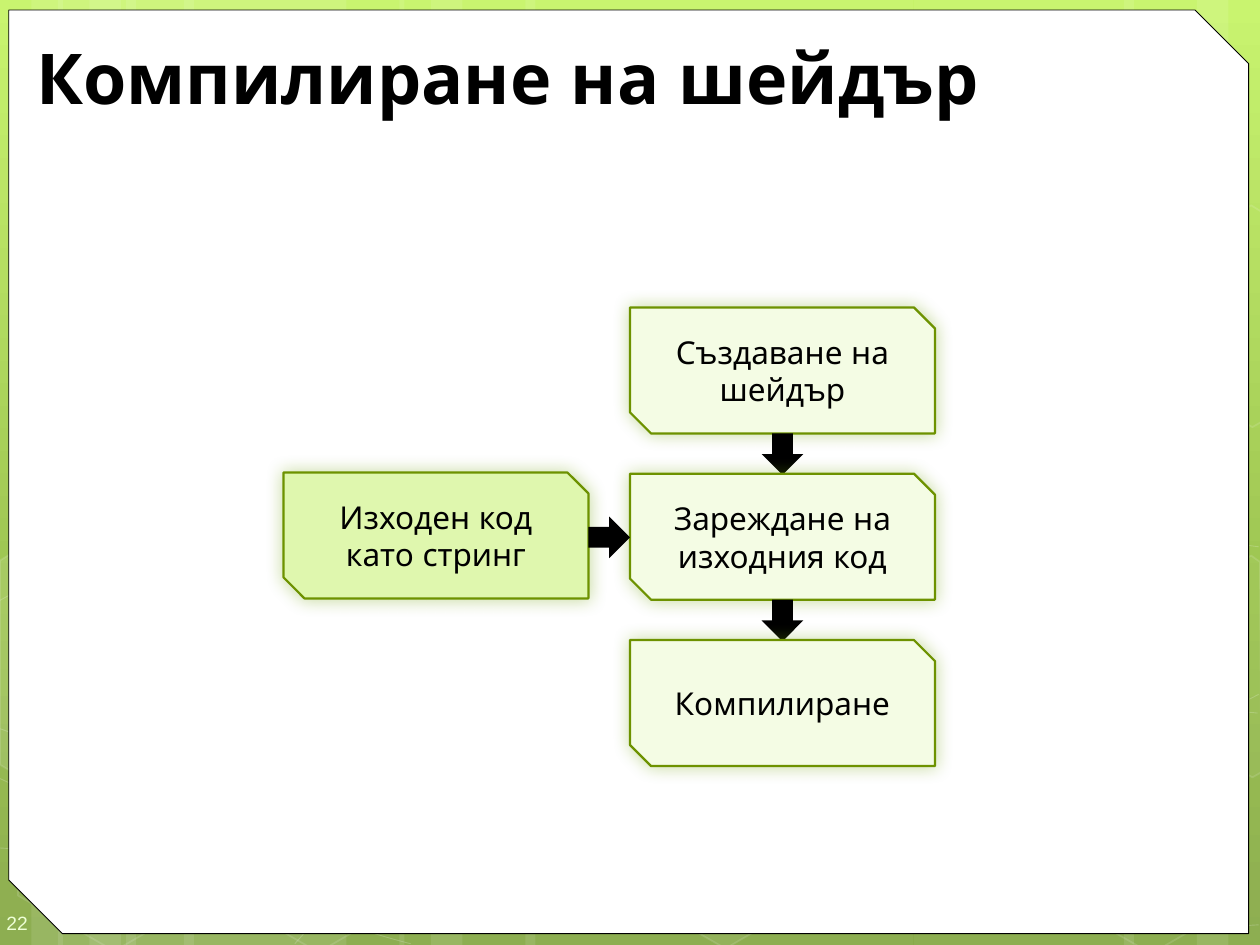
from copy import deepcopy
from dataclasses import dataclass

from lxml.etree import SubElement
from pptx import Presentation
from pptx.dml.color import RGBColor
from pptx.enum.shapes import MSO_SHAPE
from pptx.enum.text import MSO_ANCHOR, PP_ALIGN
from pptx.oxml.ns import qn
from pptx.util import Inches, Pt

HEX = {
    "top": "C3F35F", "mid": "93BF3F", "low": "81A53E",
    "white": "FFFFFF", "black": "000000", "edge": "6D9200",
    "step": "F4FCE4", "source": "DFF7AE", "glow": "74A510", "page": "EEFFD6",
}
STEP_X, STEP_Y, PITCH = 5, 2.44, 1.32
BOX_W, BOX_H, ARROW = 2.42, 1, 0.33
BANDS = [(1, 1.75), (0, 0.5), (0.25, 0.83), (1.46, 1.75), (0.46, 0.5), (0.71, 0.83),
         (7.25, 1.75), (9.5, 0.5), (8.92, 0.83), (4.17, 3.08), (3.17, 0.5), (3.42, 0.83)]
CURVES = [
    [(-0.01, 6.73), (0.53, 6.76), (1.07, 6.79), (1.82, 6.78), (2.57, 6.77), (3.49, 6.75),
     (4.5, 6.65), (5.5, 6.55), (6.92, 6.36), (7.83, 6.17), (8.75, 5.98), (9.69, 5.68), (9.99, 5.51)],
    [(-0.01, 4.77), (0.28, 4.61), (0.56, 4.46), (1.13, 4.31), (1.7, 4.16), (2.5, 3.94),
     (3.39, 3.87), (4.28, 3.8), (5.36, 3.79), (6.46, 3.87), (7.56, 3.95), (9.39, 4.26), (9.99, 4.34)],
    [(-0.02, 6.17), (1.18, 6.72), (2.39, 7.27), (3.26, 7.49)],
    [(-0.01, 5.78), (0.3, 5.89), (0.61, 6), (1.2, 6.16), (1.78, 6.31), (2.65, 6.56),
     (3.48, 6.73), (4.32, 6.9), (5.37, 7.08), (6.2, 7.18), (7.02, 7.29), (7.91, 7.33),
     (8.44, 7.36), (8.97, 7.4), (9.11, 7.38), (9.37, 7.38), (9.62, 7.37), (9.81, 7.35), (9.99, 7.34)],
    [(2.34, 7.49), (2.52, 7.29), (2.69, 7.09), (2.94, 6.91), (3.18, 6.73), (3.51, 6.53),
     (3.79, 6.39), (4.07, 6.25), (4.24, 6.19), (4.61, 6.09), (4.98, 5.99), (5.65, 5.85),
     (6, 5.78), (6.35, 5.71), (6.41, 5.71), (6.72, 5.69), (7.03, 5.66), (7.51, 5.63),
     (7.86, 5.62), (8.2, 5.61), (8.78, 5.62), (8.78, 5.62), (9, 5.62), (9.22, 5.62),
     (9.44, 5.62), (9.63, 5.63), (9.8, 5.64), (9.98, 5.66)],
]
HEXAGONS = [(4.88, 5.89, 6), (0.03, 5.91, 0), (1.65, 5.92, 0), (8.26, 5.93, 0)]
PARTS = [
    ([(0, 4.45), (0.11, 4.38), (0.87, 4.82), (0.87, 5.7), (0.12, 6.14), (0, 6.07)], 10),
    ([(9.18, 4.85), (9.93, 4.41), (10, 4.46), (10.01, 6.13), (9.94, 6.17), (9.17, 5.73)], 4),
    ([(9.18, 2.07), (9.93, 1.63), (10.01, 1.68), (10.01, 3.35), (9.94, 3.39), (9.17, 2.95)], 0),
]


@dataclass
class Box:
    x: float
    y: float
    fill: str
    lines: list[str]


def fade(fill, name: str, alpha: int) -> None:
    fill.solid()
    fill.fore_color.rgb = RGBColor.from_string(HEX[name])
    if alpha < 100:
        color = fill._xPr.find(qn("a:solidFill"))[0]
        SubElement(color, qn("a:alpha"), val=str(alpha * 1000))


def paint(shape, fill: str = "white", alpha: int = 100,
          line: str = "", width: float = 1, line_alpha: int = 100):
    shape.shadow.inherit = False
    if alpha:
        fade(shape.fill, fill, alpha)
    else:
        shape.fill.background()
    if line:
        shape.line.width = Pt(width)
        fade(shape.line.fill, line, line_alpha)
    else:
        shape.line.fill.background()
    return shape


def place(shapes, kind, x: float, y: float, w: float, h: float):
    return shapes.add_shape(kind, Inches(x), Inches(y), Inches(w), Inches(h))


def outline(shapes, nodes: list, close: bool):
    points = [(Inches(x), Inches(y)) for x, y in nodes]
    pen = shapes.build_freeform(*points[0])
    pen.add_line_segments(points[1:], close=close)
    return pen.convert_to_shape()


def curve(shapes, nodes: list):
    shape = outline(shapes, nodes, False)
    trace = shape._element.find(".//" + qn("a:path"))
    lines = trace.findall(qn("a:lnTo"))
    for i in range(0, len(lines), 3):
        bend = SubElement(trace, qn("a:cubicBezTo"))
        for line in lines[i:i + 3]:
            bend.append(line[0])
            trace.remove(line)
    return shape


def write(shape, lines: list, margins: tuple, align, color: str, **style) -> None:
    frame = shape.text_frame
    frame.word_wrap = True
    frame.vertical_anchor = MSO_ANCHOR.MIDDLE
    for side, size in zip(("left", "top", "right", "bottom"), margins):
        setattr(frame, f"margin_{side}", Inches(size))
    frame.text = "\n".join(lines)
    for para in frame.paragraphs:
        para.alignment = align
        font = para.runs[0].font
        font.color.rgb = RGBColor.from_string(HEX[color])
        for name, value in style.items():
            setattr(font, name, value)


def draw_box(shapes, box: Box) -> None:
    shape = place(shapes, MSO_SHAPE.SNIP_2_DIAG_RECTANGLE, box.x, box.y, BOX_W, BOX_H)
    paint(shape, box.fill, line="edge", width=1.25)
    glow = SubElement(shape._element.spPr.find(qn("a:effectLst")), qn("a:outerShdw"),
                      blurRad=str(Pt(10)), dist="0", dir="2700000", rotWithShape="0")
    color = SubElement(glow, qn("a:srgbClr"), val=HEX["glow"])
    SubElement(color, qn("a:alpha"), val="40000")
    write(shape, box.lines, (0, 0.05, 0, 0.05), PP_ALIGN.CENTER, "black",
          size=Pt(18), name="Quicksand")


def draw_arrow(shapes, x: float, y: float, turn: int = 0) -> None:
    shape = place(shapes, MSO_SHAPE.RIGHT_ARROW, x, y, ARROW, ARROW)
    paint(shape, "black").rotation = turn


def draw_back(slide) -> None:
    fill = slide.background.fill
    fill.gradient()
    fill.gradient_angle = 270
    stops = slide._element.find(".//" + qn("a:gsLst"))
    stops.append(deepcopy(stops[0]))
    for stop, name, spot in zip(fill.gradient_stops, ("top", "mid", "low"), (0, 0.62, 1)):
        stop.color.rgb = RGBColor.from_string(HEX[name])
        stop.position = spot
    shapes = slide.shapes
    for x, w in BANDS:
        paint(place(shapes, MSO_SHAPE.RECTANGLE, x, 0, w, 7.5), alpha=10)
    for nodes in CURVES:
        paint(curve(shapes, nodes), alpha=0, line="white", width=0.5, line_alpha=20)
    for x, y, alpha in HEXAGONS:
        shape = place(shapes, MSO_SHAPE.HEXAGON, x, y, 1.75, 1.52)
        shape.adjustments[0] = 0.285
        shape.rotation = 30
        paint(shape, alpha=alpha, line="white", line_alpha=12)
    for nodes, alpha in PARTS:
        paint(outline(shapes, nodes, True), alpha=alpha, line="white", line_alpha=12)
    panel = place(shapes, MSO_SHAPE.SNIP_2_DIAG_RECTANGLE, 0.07, 0.08, 9.84, 7.33)
    panel.adjustments[1] = 0.058
    paint(panel, line="black", width=0.5)


def main() -> None:
    deck = Presentation()
    deck.slide_width, deck.slide_height = Inches(10), Inches(7.5)
    slide = deck.slides.add_slide(deck.slide_layouts[5])
    shapes = slide.shapes
    draw_back(slide)

    page = shapes.add_textbox(Inches(0), Inches(7.1), Inches(0.58), Inches(0.4))
    write(page, ["22"], (0.05, 0.15, 0, 0.1), PP_ALIGN.LEFT, "page",
          size=Pt(11), name="Arial")

    draw_box(shapes, Box(2.25, 3.75, "source", ["Изходен код", "като стринг"]))
    steps = ["Създаване на шейдър", "Зареждане на изходния код", "Компилиране"]
    for i, text in enumerate(steps):
        y = STEP_Y + i * PITCH
        if i:
            draw_arrow(shapes, STEP_X + (BOX_W - ARROW) / 2, y - ARROW + 0.01, 90)
        draw_box(shapes, Box(STEP_X, y, "step", [text]))
    draw_arrow(shapes, STEP_X - ARROW, 4.1)

    title = shapes.title
    spots = {"left": 0.19, "top": 0.25, "width": 9.47, "height": 0.71}
    for name, value in spots.items():
        setattr(title, name, Inches(value))
    write(title, ["Компилиране на шейдър"], (0.1, 0.05, 0.1, 0.05), PP_ALIGN.LEFT, "black",
          size=Pt(40), name="Quicksand", bold=True)
    shapes._spTree.append(title._element)
    deck.save("out.pptx")


if __name__ == "__main__":
    main()
